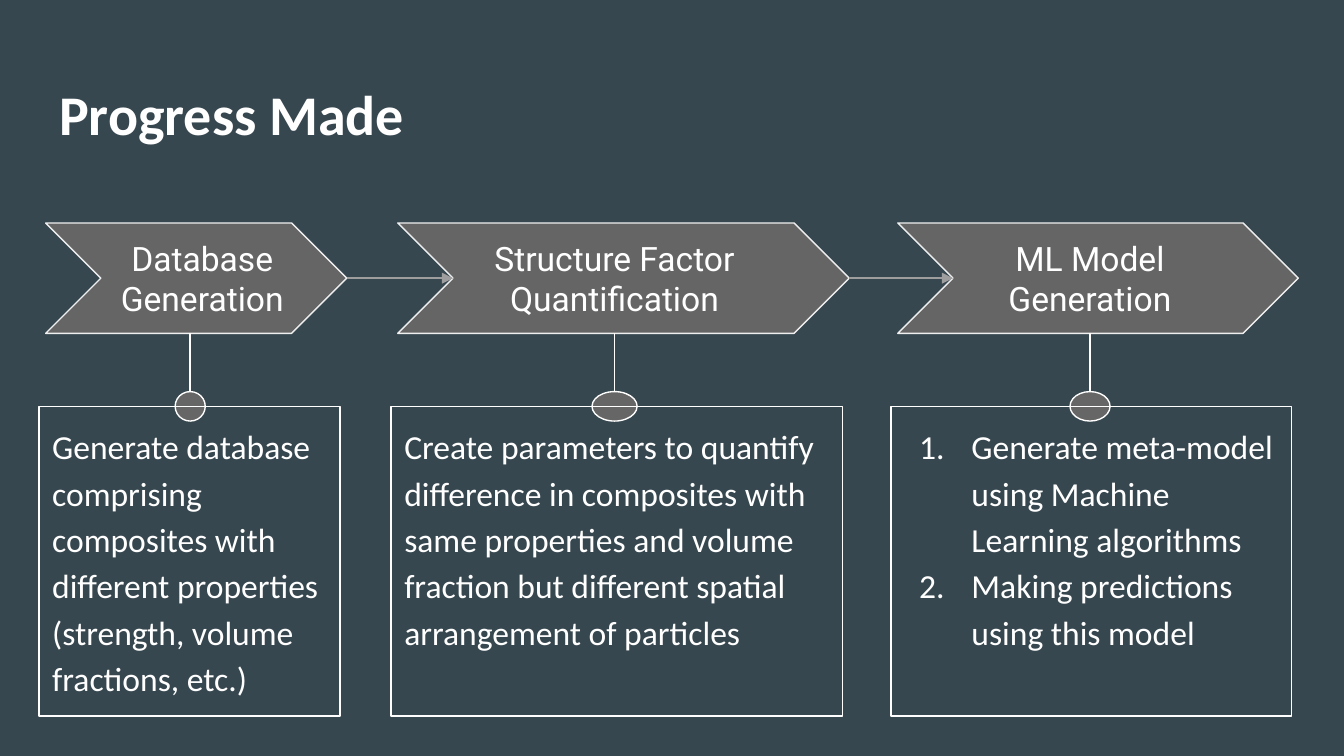
from typing import NamedTuple

from lxml.etree import SubElement
from pptx import Presentation
from pptx.dml.color import RGBColor
from pptx.enum.shapes import MSO_CONNECTOR, MSO_SHAPE
from pptx.enum.text import MSO_ANCHOR, MSO_AUTO_SIZE, PP_ALIGN
from pptx.oxml.ns import qn
from pptx.util import Inches, Pt

WIDE = Inches(10)
HIGH = WIDE * 9 // 16
WHITE, GREY, RIM, PALE, BACK = "FFFFFF", "656565", "EFEFEF", "9E9E9E", "37474F"
THIN = Pt(0.75)


class Area(NamedTuple):
    """Left, top, width and height in percent of the slide."""
    left: float
    top: float
    width: float
    height: float


class Step(NamedTuple):
    left: float
    width: float
    inset: float  # label offset as a share of the width
    label: str
    notes: list[str]


STEPS = [
    Step(3.4, 22.4, 0.2, "Database Generation", [
        "Generate database comprising composites with different properties "
        "(strength, volume fractions, etc.)"]),
    Step(29.6, 33.6, 0.16, "Structure Factor Quantification", [
        "Create parameters to quantify difference in composites with same "
        "properties and volume fraction but different spatial arrangement "
        "of particles"]),
    Step(66.8, 29.8, 0.16, "ML Model Generation", [
        "Generate meta-model using Machine Learning algorithms",
        "Making predictions using this model"]),
]

# Rows in percent of the height
BAND, TALL = 29.5, 14.6
MID = BAND + TALL / 2
NOTCH = TALL / 2 * HIGH / WIDE  # chevron depth in percent of the width
FRAME = dict(word_wrap=True, auto_size=MSO_AUTO_SIZE.NONE,
             margin_left=Inches(0.1), margin_right=Inches(0.1),
             margin_top=Inches(0.1), margin_bottom=Inches(0.1))


def color(code: str) -> RGBColor:
    return RGBColor.from_string(code)


def across(share: float) -> int:
    return round(WIDE * share / 100)


def down(share: float) -> int:
    return round(HIGH * share / 100)


def place(area: Area) -> tuple[int, int, int, int]:
    return (across(area.left), down(area.top),
            across(area.width), down(area.height))


def apply(item, values: dict) -> None:
    for name, value in values.items():
        setattr(item, name, value)


def write(shape, lines: list[str], size: int, face: str, anchor,
          para: dict, bold: bool = False) -> None:
    frame = shape.text_frame
    apply(frame, FRAME | {"vertical_anchor": anchor})
    frame.text = "\n".join(lines)
    for item in frame.paragraphs:
        apply(item, para)
        font = item.runs[0].font
        apply(font, dict(size=Pt(size), name=face, bold=bold))
        font.color.rgb = color(WHITE)


def draw(kind, area: Area, fill: str = "", edge: str = ""):
    shape = slide.shapes.add_shape(kind, *place(area))
    shape.shadow.inherit = False
    if fill:
        shape.fill.solid()
        shape.fill.fore_color.rgb = color(fill)
    else:
        shape.fill.background()
    if edge:
        shape.line.color.rgb = color(edge)
        shape.line.width = THIN
    else:
        shape.line.fill.background()
    return shape


def link(x1: float, y1: float, x2: float, y2: float, tint: str,
         arrow: bool = False) -> None:
    line = slide.shapes.add_connector(
        MSO_CONNECTOR.STRAIGHT, across(x1), down(y1), across(x2), down(y2))
    line.line.color.rgb = color(tint)
    line.line.width = THIN
    if arrow:
        SubElement(line.line._ln, qn("a:tailEnd"), type="triangle")
    SubElement(line._element.spPr, qn("a:effectLst"))


def number(shape) -> None:
    for item in shape.text_frame.paragraphs:
        props = item._p.get_or_add_pPr()
        props.set("marL", str(Inches(0.5)))
        props.set("indent", str(-Inches(0.39)))
        tint = SubElement(props, qn("a:buClr"))
        SubElement(tint, qn("a:srgbClr"), val=WHITE)
        SubElement(props, qn("a:buFont"), typeface="Calibri")
        SubElement(props, qn("a:buAutoNum"), type="arabicPeriod")


def build(step: Step) -> None:
    left, width = step.left, step.width
    # Chevron with its label
    draw(MSO_SHAPE.CHEVRON, Area(left, BAND, width, TALL), GREY, RIM)
    label = draw(MSO_SHAPE.RECTANGLE,
                 Area(left + step.inset * width, 32.2, 0.64 * width, 9.1), GREY)
    write(label, [step.label], 18, "Roboto", MSO_ANCHOR.MIDDLE,
          dict(alignment=PP_ALIGN.CENTER))
    # Pin down to the notes
    pin, knob = left + 0.48 * width, 0.1 * width
    link(pin, 54.8, pin, BAND + TALL, WHITE)
    draw(MSO_SHAPE.OVAL, Area(pin - knob / 2, 51.8, knob, 3.9), "666666", WHITE)
    # Notes
    box = draw(MSO_SHAPE.RECTANGLE, Area(left - 0.5, 53.8, width, 40.9),
               edge=WHITE)
    write(box, step.notes, 18, "Calibri", MSO_ANCHOR.TOP,
          dict(alignment=PP_ALIGN.LEFT, line_spacing=1.15))
    if len(step.notes) > 1:
        number(box)


deck = Presentation()
apply(deck, dict(slide_width=WIDE, slide_height=HIGH))
slide = deck.slides.add_slide(deck.slide_layouts[5])
slide.background.fill.solid()
slide.background.fill.fore_color.rgb = color(BACK)

# Title
title = slide.shapes.title
spot = place(Area(3.4, 8.7, 93.2, 11.2))
apply(title, dict(zip(("left", "top", "width", "height"), spot)))
write(title, ["Progress Made"], 30, "Calibri", MSO_ANCHOR.TOP,
      dict(alignment=PP_ALIGN.LEFT), bold=True)

# Steps, then arrows from each tip to the next notch
for step in STEPS:
    build(step)
for step, after in zip(STEPS, STEPS[1:]):
    link(step.left + step.width, MID, after.left + NOTCH, MID, PALE, arrow=True)

deck.save("out.pptx")
